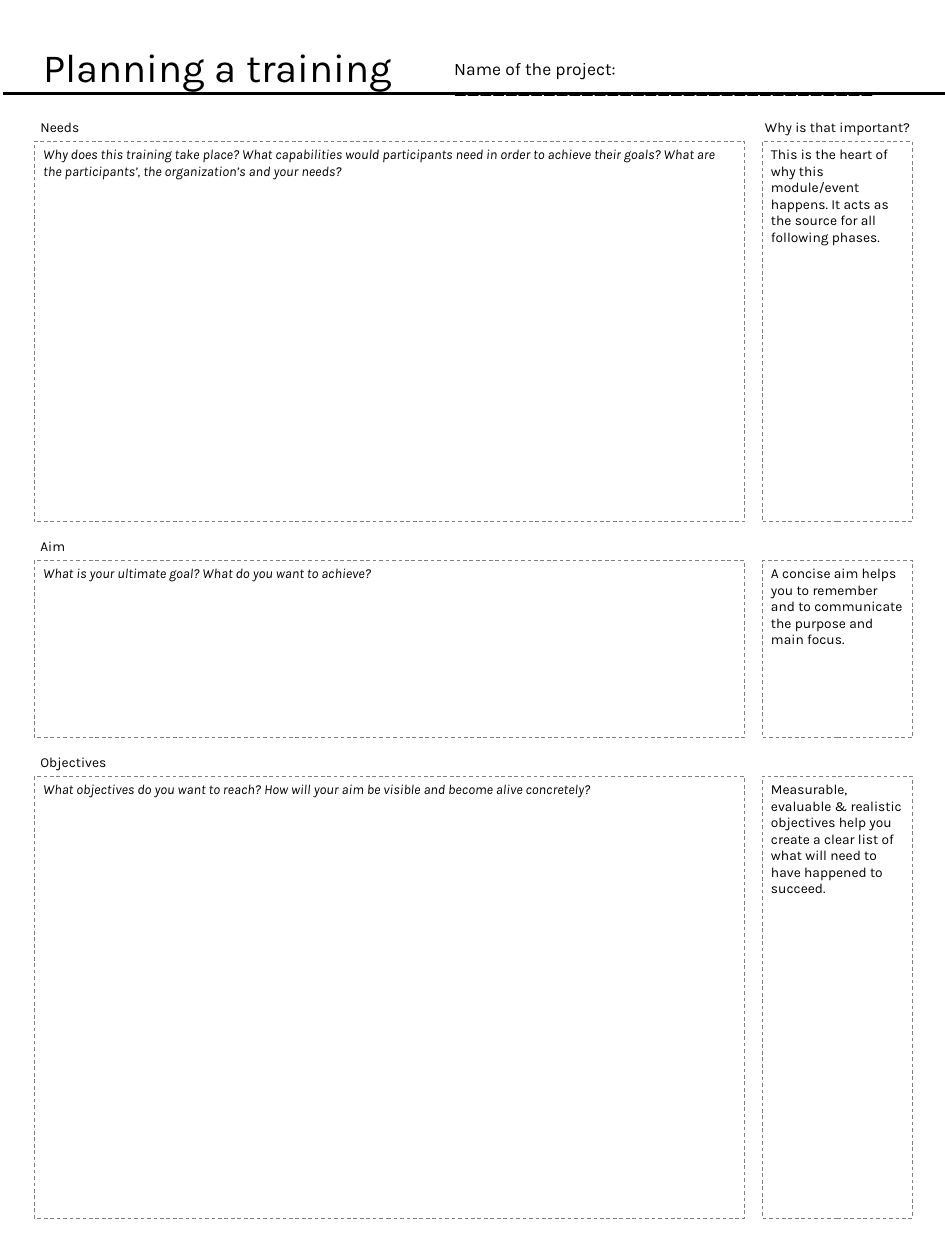
from pptx import Presentation
from pptx.dml.color import RGBColor
from pptx.enum import dml, shapes, text
from pptx.oxml.ns import qn
from pptx.util import Cm, Pt

TITLE = "Planning a training"
PROJECT = "Name of the project: " + "_" * 33
SIDE_LABEL = "Why is that important?"
SECTIONS = [
    ("Needs", 10.74,
     "Why does this training take place? What capabilities would participants need in order to achieve "
     "their goals? What are the participants’, the organization’s and your needs?",
     "This is the heart of why this module/event happens. It acts as the source for all following phases."),
    ("Aim", 5.0,
     "What is your ultimate goal? What do you want to achieve?",
     "A concise aim helps you to remember and to communicate the purpose and main focus."),
    ("Objectives", 12.47,
     "What objectives do you want to reach? How will your aim be visible and become alive concretely?",
     "Measurable, evaluable & realistic objectives help you create a clear list of what will need "
     "to have happened to succeed."),
]

WIDTH, HEIGHT = 26.67, 35.56
MAIN_X, MAIN_W = 0.97, 20.04
SIDE_X, SIDE_W = 21.51, 4.24
LABEL_X, SIDE_LABEL_X = 0.89, 21.34
FIRST_TOP, GAP, LABEL_RISE, LABEL_H = 3.99, 1.09, 0.77, 0.71
RULE_Y = 2.64


def color(value):
    return RGBColor.from_string(value)


def set_text(sp, content, size=11, italic=None, inset=(0.25, 0.13)):
    tf = sp.text_frame
    frame = {
        "word_wrap": True,
        "auto_size": text.MSO_AUTO_SIZE.NONE,
        "vertical_anchor": text.MSO_ANCHOR.TOP,
        "margin_left": Cm(inset[0]), "margin_right": Cm(inset[0]),
        "margin_top": Cm(inset[1]), "margin_bottom": Cm(inset[1]),
    }
    for name, value in frame.items():
        setattr(tf, name, value)
    p = tf.paragraphs[0]
    p.alignment = text.PP_ALIGN.LEFT
    r = p.add_run()
    r.text = content
    for name, value in {"name": "Karla", "size": Pt(size), "italic": italic}.items():
        setattr(r.font, name, value)
    r.font.color.rgb = color("000000")


def add_label(s, x, y, w, h, content, size=11):
    sp = s.shapes.add_textbox(Cm(x), Cm(y), Cm(w), Cm(h))
    set_text(sp, content, size)


def add_box(s, x, y, w, h, content, italic=None):
    sp = s.shapes.add_shape(shapes.MSO_SHAPE.RECTANGLE, Cm(x), Cm(y), Cm(w), Cm(h))
    sp.shadow.inherit = False
    sp.fill.background()
    sp.line.color.rgb = color("808080")
    sp.line.width = Pt(0.75)
    sp.line.dash_style = dml.MSO_LINE.DASH
    set_text(sp, content, italic=italic)


def add_rule(s, x1, x2, y):
    line = s.shapes.add_connector(shapes.MSO_CONNECTOR.STRAIGHT, Cm(x1), Cm(y), Cm(x2), Cm(y))
    line.line.color.rgb = color("000000")
    line.line.width = Pt(2.25)
    sp_pr = line._element.spPr
    sp_pr.append(sp_pr.makeelement(qn("a:effectLst"), {}))


def main():
    prs = Presentation()
    prs.slide_width, prs.slide_height = Cm(WIDTH), Cm(HEIGHT)
    s = prs.slides.add_slide(prs.slide_layouts[5])

    title = s.shapes.title
    place = {"left": LABEL_X, "top": 1.02, "width": WIDTH - LABEL_X, "height": 1.7}
    for name, value in place.items():
        setattr(title, name, Cm(value))
    set_text(title, TITLE, 32, inset=(0.33, 0.18))

    add_rule(s, 0.08, WIDTH, RULE_Y)
    add_label(s, 12.57, 1.52, 13.18, 0.84, PROJECT, 14)
    add_label(s, SIDE_LABEL_X, FIRST_TOP - LABEL_RISE, WIDTH - SIDE_LABEL_X, LABEL_H, SIDE_LABEL)

    top = FIRST_TOP
    for label, height, question, reason in SECTIONS:
        add_label(s, LABEL_X, top - LABEL_RISE, 19.28, LABEL_H, label)
        add_box(s, MAIN_X, top, MAIN_W, height, question, italic=True)
        add_box(s, SIDE_X, top, SIDE_W, height, reason)
        top += height + GAP

    prs.save("out.pptx")


if __name__ == "__main__":
    main()
